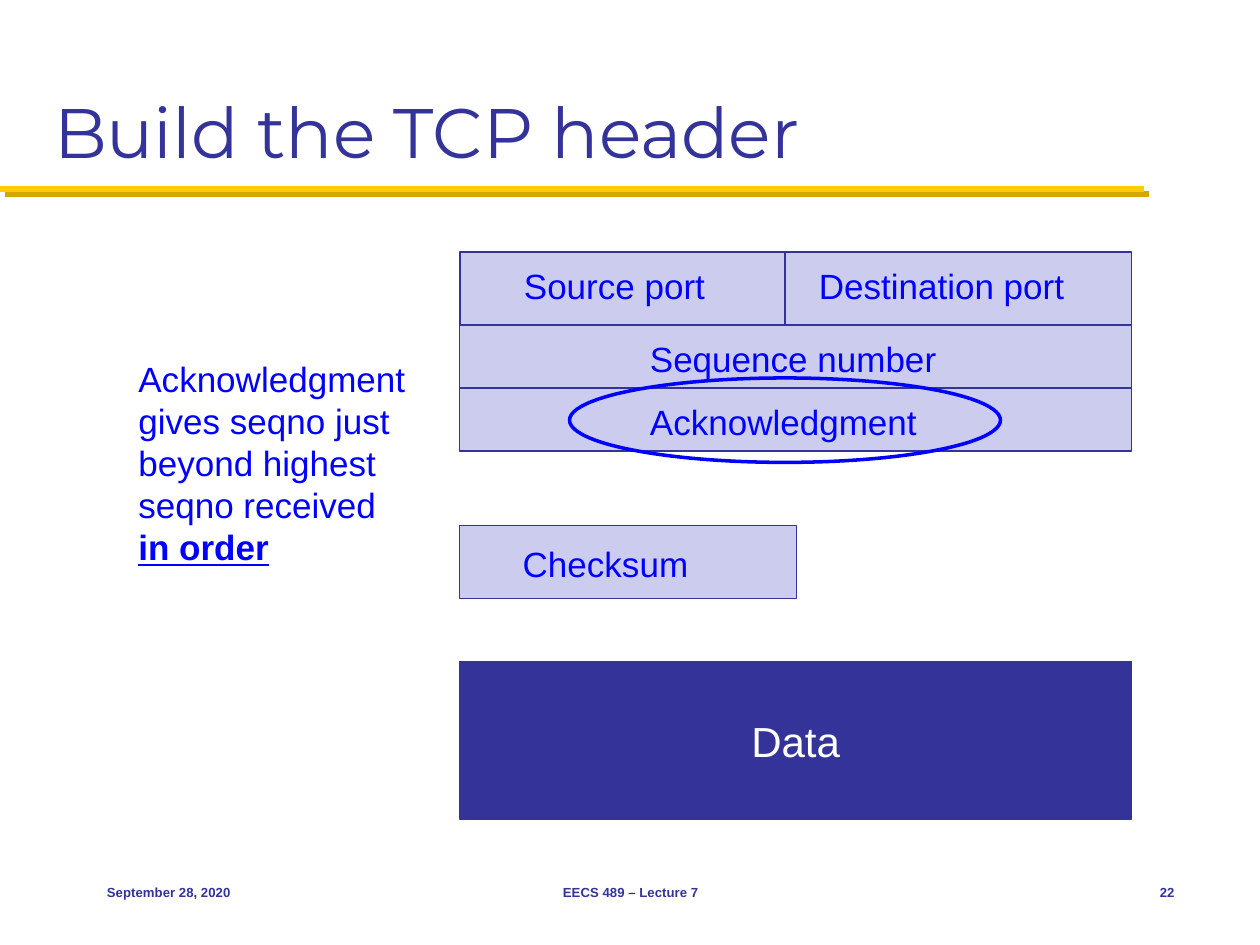
"""Build the slide on the fields of the TCP header."""
from lxml import etree
from pptx import Presentation
from pptx import util as u
from pptx.dml.color import RGBColor
from pptx.enum import shapes, text
from pptx.oxml import parse_xml
from pptx.oxml.ns import qn

NAVY = RGBColor(0x33, 0x33, 0x99)
BLUE = RGBColor(0x00, 0x00, 0xFF)
LILAC = RGBColor(0xCC, 0xCC, 0xEE)
GOLD = RGBColor(0xFF, 0xCB, 0x05)
WHITE = RGBColor(0xFF, 0xFF, 0xFF)
LEFT, CENTER, RIGHT = text.PP_ALIGN.LEFT, text.PP_ALIGN.CENTER, text.PP_ALIGN.RIGHT
TOP, MIDDLE = text.MSO_ANCHOR.TOP, text.MSO_ANCHOR.MIDDLE

HEADER_LEFT, HEADER_WIDTH = 3.65, 5.33
FIELDS = [
    ("Source port", (HEADER_LEFT, 2, 2.58, 0.58), (4.06, 2.05, 1.64, 0.43)),
    ("Destination port", (6.23, 2, 2.75, 0.58), (6.4, 2.05, 2.15, 0.43)),
    ("Sequence number", (HEADER_LEFT, 2.58, HEADER_WIDTH, 0.5), (5.06, 2.63, 2.47, 0.43)),
    ("Acknowledgment", (HEADER_LEFT, 3.08, HEADER_WIDTH, 0.5), (5.06, 3.13, 2.34, 0.43)),
    ("Checksum", (HEADER_LEFT, 4.17, 2.67, 0.58), (4.05, 4.26, 1.51, 0.43)),
]
NOTE = [("Acknowledgment gives seqno just beyond highest seqno received ", False),
        ("in order", True)]
FOOTERS = [
    ("September 28, 2020", 0.75, 2.08, LEFT),
    ("EECS 489 – Lecture 7", 3.42, 3.17, CENTER),
    ("22", 8.75, 0.67, RIGHT),
]
RULE_SHADOW = (
    '<a:effectLst xmlns:a="http://schemas.openxmlformats.org/drawingml/2006/main">'
    '<a:outerShdw dist="53340" dir="2700000" algn="ctr" rotWithShape="0">'
    '<a:srgbClr val="D3A600"/></a:outerShdw></a:effectLst>')


def place(box):
    return [u.Inches(length) for length in box]


def add_run(paragraph, words, size, color, font="Arial", bold=None, underline=None):
    run = paragraph.add_run()
    run.text = words
    run.font.name, run.font.size = font, u.Pt(size)
    run.font.color.rgb = color
    run.font.bold, run.font.underline = bold, underline


def set_up_text(shape, anchor=TOP, align=LEFT, wrap=False):
    frame = shape.text_frame
    frame.word_wrap, frame.vertical_anchor = wrap, anchor
    frame.paragraphs[0].alignment = align
    return frame.paragraphs[0]


def add_shape(slide, box, fill=None, line=None, width=0.75, kind=shapes.MSO_SHAPE.RECTANGLE):
    shape = slide.shapes.add_shape(kind, *place(box))
    shape.shadow.inherit = False
    for part, color in ((shape.fill, fill), (shape.line.fill, line)):
        if color is None:
            part.background()
        else:
            part.solid()
            part.fore_color.rgb = color
    if line is not None:
        shape.line.width = u.Pt(width)
    return shape


presentation = Presentation()
presentation.slide_width, presentation.slide_height = u.Inches(10), u.Inches(7.5)
slide = presentation.slides.add_slide(presentation.slide_layouts[5])

rule = slide.shapes.add_connector(shapes.MSO_CONNECTOR.STRAIGHT, *place((0, 1.5, 9.08, 1.5)))
rule.line.color.rgb, rule.line.width = GOLD, u.Pt(3.5)
rule.element.find(qn("p:spPr")).append(parse_xml(RULE_SHADOW))

title = slide.shapes.title
title.left, title.top, title.width, title.height = place((0.33, 0.17, 9.33, 1.25))
heading = set_up_text(title, text.MSO_ANCHOR.BOTTOM, wrap=True)
add_run(heading, "Build the TCP header", 40, NAVY, "Montserrat")

for name, cell_box, label_box in FIELDS:
    add_shape(slide, cell_box, LILAC, NAVY)
    label = add_shape(slide, label_box, LILAC)
    add_run(set_up_text(label), name, 20, BLUE)

data = add_shape(slide, (HEADER_LEFT, 5.25, HEADER_WIDTH, 1.25), NAVY, NAVY)
add_run(set_up_text(data, MIDDLE, CENTER), "Data", 24, WHITE)
add_shape(slide, (4.52, 3, 3.42, 0.67), line=BLUE, width=2, kind=shapes.MSO_SHAPE.OVAL)

note = slide.shapes.add_textbox(*place((1, 2.79, 2.33, 1.78)))
note_paragraph = set_up_text(note, wrap=True)
for words, strong in NOTE:
    add_run(note_paragraph, words, 20, BLUE, bold=strong, underline=strong)

for words, left, width, align in FOOTERS:
    footer = slide.shapes.add_textbox(*place((left, 6.83, width, 0.5)))
    add_run(set_up_text(footer, MIDDLE, align, wrap=True), words, 7.5, NAVY, bold=True)

presentation.save("out.pptx")
